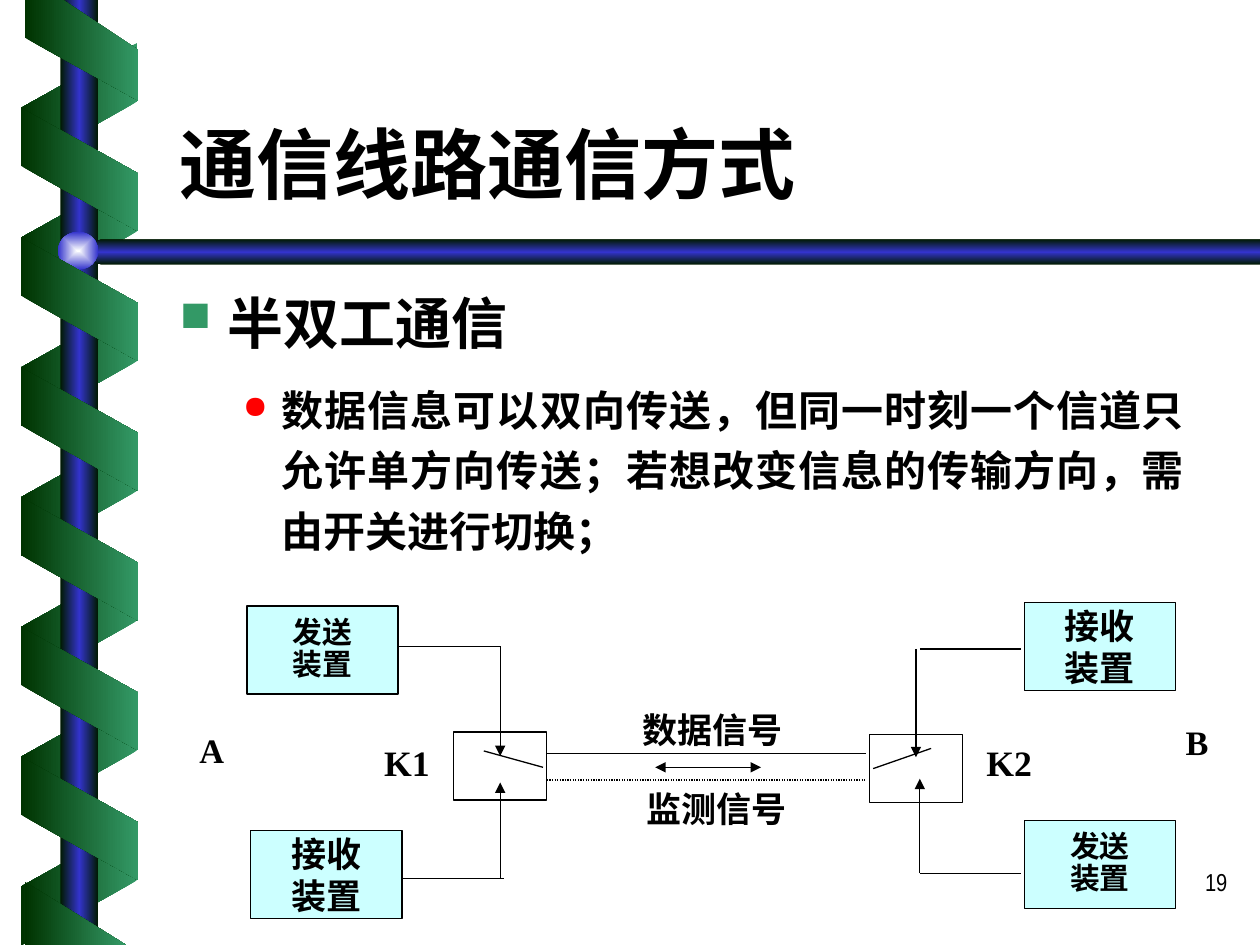
"""Build the slide on half-duplex communication, on a grid of 100 by 75 cells."""
from lxml.etree import SubElement as Sub
from pptx import Presentation
from pptx.dml.color import RGBColor as Rgb
from pptx.enum.dml import MSO_LINE as Dash
from pptx.enum.shapes import MSO_CONNECTOR as Conn, MSO_SHAPE as Kind
from pptx.enum.text import MSO_ANCHOR as Anchor, PP_ALIGN as Align
from pptx.oxml import parse_xml
from pptx.oxml.ns import nsdecls, qn
from pptx.util import Inches, Pt

HUE = {"dark": "003300", "green": "339966", "navy": "001A00", "blue": "3333CC",
       "pale": "FEFFFF", "aqua": "CCFFFF", "white": "FFFFFF", "black": "000000",
       "red": "FF0000"}
BODY = "Times New Roman"

deck = Presentation()
deck.slide_width, deck.slide_height = Inches(10), Inches(7.5)
slide = deck.slides.add_slide(deck.slide_layouts[6])
shapes = slide.shapes
cell = deck.slide_width // 100


def shade(shape, hues, angle=None):
    """Fill with evenly spaced hues, along an angle or from the centre."""
    shape.shadow.inherit = False
    shape.line.fill.background()
    shape.fill.background()
    stops = "".join(
        f'<a:gs pos="{100000 * i // (len(hues) - 1)}"><a:srgbClr val="{HUE[hue]}"/></a:gs>'
        for i, hue in enumerate(hues))
    if angle is None:
        way = ('<a:path path="rect"><a:fillToRect l="50000" t="50000" '
               'r="50000" b="50000"/></a:path>')
    else:
        way = f'<a:lin ang="{angle * 60000}" scaled="0"/>'
    grad = parse_xml(f'<a:gradFill {nsdecls("a")} rotWithShape="0">'
                     f'<a:gsLst>{stops}</a:gsLst>{way}</a:gradFill>')
    props = shape._element.spPr
    props.replace(props.find(qn("a:noFill")), grad)


def write(shape, text, size, align=Align.LEFT, gap=1.0, pad=(1, 0.5),
          anchor=Anchor.TOP, face=BODY, bullet=None):
    """Set the text of a shape; bullet holds mark, hue, margin and hang."""
    frame = shape.text_frame
    frame.word_wrap = True
    frame.vertical_anchor = anchor
    frame.margin_left = frame.margin_right = int(pad[0] * cell)
    frame.margin_top = frame.margin_bottom = int(pad[1] * cell)
    frame.text = text
    for para in frame.paragraphs:
        if bullet:
            mark, hue, margin, hang = bullet
            props = para._p.get_or_add_pPr()
            props.set("marL", str(int(margin * cell)))
            props.set("indent", str(int(-hang * cell)))
            Sub(Sub(props, qn("a:buClr")), qn("a:srgbClr")).set("val", HUE[hue])
            Sub(props, qn("a:buSzPct")).set("val", "75000")
            Sub(props, qn("a:buChar")).set("char", mark)
        para.alignment = align
        para.line_spacing = gap
        for run in para.runs:
            run.font.size = Pt(size)
            run.font.name = face
            run.font.bold = face == BODY
            run.font.color.rgb = Rgb.from_string(HUE["black"])


ribbons = [(3.7 + 10.3 * i, 9.2, 90) for i in range(7)]
ribbons += [(8.8 + 10.3 * i, 9.3, 270) for i in range(6)]
bars = False
for top, high, turn in ribbons:
    if turn == 270 and not bars:
        bars = True
        post = shapes.add_shape(Kind.RECTANGLE, int(4.8 * cell), 0, 3 * cell, 75 * cell)
        shade(post, ["navy", "blue", "navy"], 0)
        path = shapes.build_freeform(100, 18.6, cell)
        path.add_line_segments([(7.6, 18.6), (6, 20), (7.6, 21.4), (100, 21.4)])
        shade(path.convert_to_shape(), ["navy", "blue", "navy"], 90)
        knob = shapes.add_shape(Kind.OVAL, *[int(n * cell) for n in (4.6, 18.4, 3.2, 3)])
        shade(knob, ["pale", "blue"])
    band = shapes.add_shape(Kind.PARALLELOGRAM,
                            *[int(n * cell) for n in (1.4, top, 9.8, high)])
    band.adjustments[0] = 0.56
    band.rotation = turn
    if turn == 90:
        band._element.spPr.xfrm.set("flipH", "1")
    shade(band, ["green", "dark"] if turn == 90 else ["dark", "green"], 0)

ends = [[(1.7, 0), (1.7, 2.9), (10.9, 8.1), (10.9, 3.5), (4.7, 0)],
        [(9.6, 74.9), (1.7, 70.5), (1.6, 75)]]
for first, *rest in ends:
    path = shapes.build_freeform(*first, cell)
    path.add_line_segments(rest)
    shade(path.convert_to_shape(), ["dark", "green"], 0)

tight = dict(align=Align.CENTER, pad=(0, 0))
texts = [
    ((77.6, 68.3, 20.8, 5), "19", 14, dict(align=Align.RIGHT, face="Arial Narrow")),
    ((13.3, 4.6, 85, 12.5), "通信线路通信方式", 44, dict(anchor=Anchor.BOTTOM)),
    ((13.3, 22.4, 85, 7.6), "半双工通信", 32, dict(bullet=("■", "green", 3.8, 3.8))),
    ((13.3, 29.2, 81.7, 16.2),
     "数据信息可以双向传送，但同一时刻一个信道只允许单方向传送；"
     "若想改变信息的传输方向，需由开关进行切换；",
     24, dict(align=Align.JUSTIFY, gap=1.2, bullet=("●", "red", 8.1, 3.1))),
    ((13.7, 58.5, 6.2, 3.4), "A", 19.6, dict(tight, gap=0.8)),
    ((91.9, 57.9, 6.2, 3.4), "B", 19.6, dict(tight, gap=0.8)),
    ((29.2, 59.2, 6.2, 3.4), "K1", 20.4, dict(tight, gap=0.9)),
    ((77, 59.2, 6.2, 3.4), "K2", 20.4, dict(tight, gap=0.9)),
    ((46.2, 56.2, 20.7, 3.4), "数据信号", 20, tight),
    ((46.5, 62.5, 20.7, 3.4), "监测信号", 20, tight),
]
for spot, text, size, look in texts:
    write(shapes.add_textbox(*[int(n * cell) for n in spot]), text, size, **look)

send, get = ("发送\n装置", 17, 0.9), ("接收\n装置", 20, 1.0)
boxes = [
    ((19.6, 48.1, 12, 7), "aqua", send),
    ((19.9, 65.9, 12, 7), "aqua", get),
    ((81.3, 65.1, 12, 7), "aqua", send),
    ((81.3, 47.8, 12, 7), "aqua", get),
    ((36, 58.1, 7.4, 5.4), "white", None),
    ((69, 58.3, 7.4, 5.4), "white", None),
]
for spot, hue, label in boxes:
    box = shapes.add_shape(Kind.RECTANGLE, *[int(n * cell) for n in spot])
    box.shadow.inherit = False
    box.fill.solid()
    box.fill.fore_color.rgb = Rgb.from_string(HUE[hue])
    box.line.color.rgb = Rgb.from_string(HUE["black"])
    box.line.width = Pt(0.75)
    if label:
        text, size, gap = label
        write(box, text, size, Align.CENTER, gap, (0.2, 0.5), Anchor.MIDDLE)

tail, both = ["tailEnd"], ["headEnd", "tailEnd"]
wires = [
    ((43.4, 59.8, 68.7, 59.8), []),
    ((43.4, 61.9, 68.7, 61.9), ["dots"]),
    ((52, 60.9, 60.4, 60.9), both),
    ((43.1, 60.9, 38.4, 59.6), []),
    ((69.3, 61, 73.9, 59.4), []),
    ((31.7, 51.3, 39.7, 51.3), []),
    ((39.7, 51.3, 39.7, 60), tail),
    ((32, 69.7, 40, 69.7), []),
    ((39.7, 69.7, 39.7, 62.1), tail),
    ((73, 51.5, 81, 51.5), []),
    ((72.7, 51.5, 72.7, 60.1), tail),
    ((73, 69.3, 81, 69.3), []),
    ((73, 69.3, 73, 61.8), tail),
]
for ends, marks in wires:
    wire = shapes.add_connector(Conn.STRAIGHT, *[int(n * cell) for n in ends])
    wire.line.color.rgb = Rgb.from_string(HUE["black"])
    wire.line.width = Pt(0.75)
    for mark in marks:
        if mark == "dots":
            wire.line.dash_style = Dash.ROUND_DOT
        else:
            Sub(wire.line._get_or_add_ln(), qn("a:" + mark)).set("type", "triangle")
    Sub(wire._element.spPr, qn("a:effectLst"))

deck.save("out.pptx")
